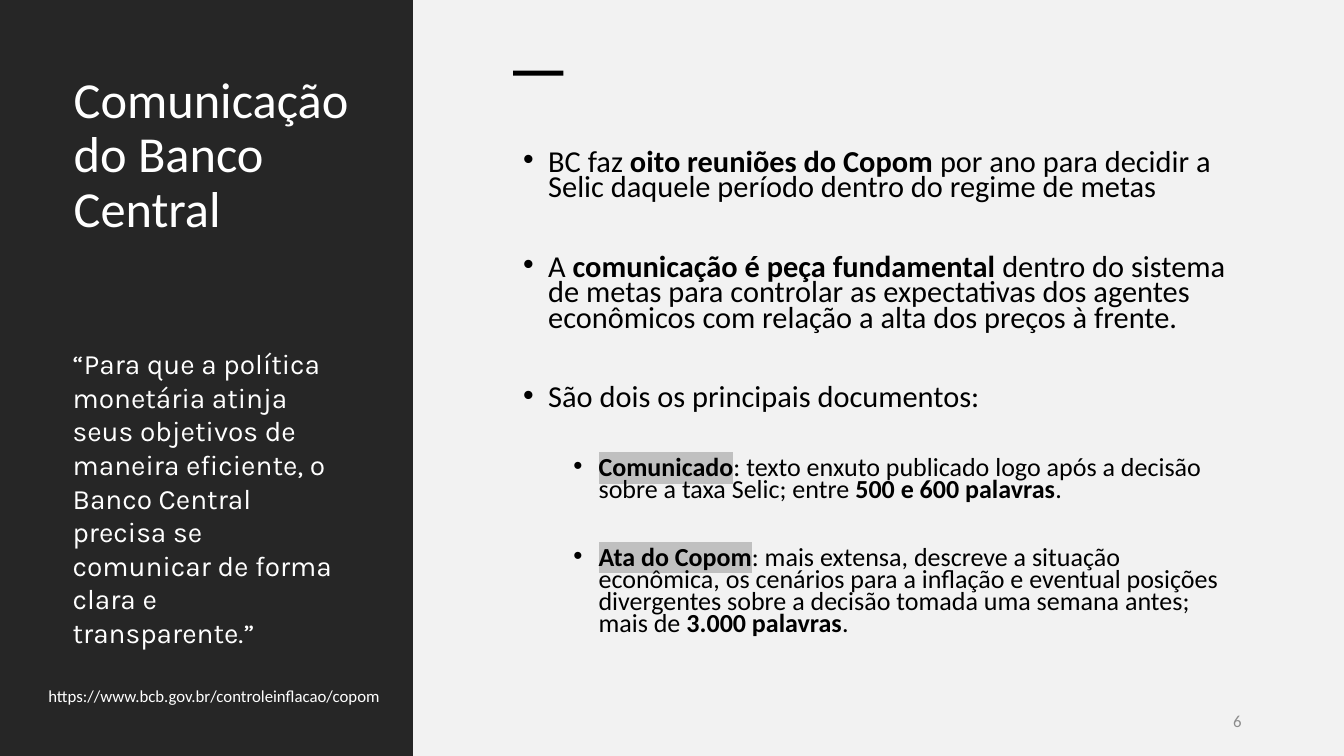
import pptx
import pptx.util
import pptx.dml.color
import pptx.enum.shapes
import pptx.enum.text
import pptx.oxml
import pptx.oxml.ns

Pt = pptx.util.Pt
RGB = pptx.dml.color.RGBColor
ALIGN = pptx.enum.text.PP_ALIGN
ANCHOR = pptx.enum.text.MSO_ANCHOR
RECT = pptx.enum.shapes.MSO_SHAPE.RECTANGLE
qn = pptx.oxml.ns.qn

WHITE = RGB(0xFF, 0xFF, 0xFF)
BLACK = RGB(0, 0, 0)
DARK = RGB(0x26, 0x26, 0x26)
LIGHT = RGB(0xF2, 0xF2, 0xF2)
GREY = RGB(0x8C, 0x8C, 0x8C)
MARK = RGB(0xC0, 0xC0, 0xC0)

# Bullets: (level, runs); each run is (text, style), b = bold, h = highlight
POINTS = [
    (0, [("BC faz ", ""), ("oito reuniões do Copom ", "b"),
         ("por ano para decidir a Selic daquele período dentro do "
          "regime de metas", "")]),
    (0, [("A", ""), (" comunicação é peça fundamental ", "b"),
         ("dentro do sistema de metas para controlar as expectativas dos "
          "agentes econômicos com relação a alta dos preços à frente.", "")]),
    (0, [("São dois os principais documentos:", "")]),
    (1, [("Comunicado", "bh"),
         (": texto enxuto publicado logo após a decisão sobre a taxa Selic; "
          "entre ", ""), ("500 e 600 palavras", "b"), (".", "")]),
    (1, [("Ata do Copom", "bh"),
         (": mais extensa, descreve a situação econômica, os cenários para a "
          "inflação e eventual posições divergentes sobre a decisão tomada "
          "uma semana antes; mais de ", ""),
         ("3.000 palavras", "b"), (".", "")]),
]
# Per level: text size, left margin, space before
LEVELS = [(21.7, 18, 38.5), (18.6, 54, 33)]
HANG = 18


def add_rect(slide, left, top, width, height, color):
    rect = slide.shapes.add_shape(RECT, Pt(left), Pt(top), Pt(width), Pt(height))
    rect.shadow.inherit = False
    rect.fill.solid()
    rect.fill.fore_color.rgb = color
    rect.line.fill.background()


def add_box(slide, left, top, width, height, anchor=ANCHOR.TOP):
    box = slide.shapes.add_textbox(Pt(left), Pt(top), Pt(width), Pt(height))
    frame = box.text_frame
    frame.word_wrap = True
    frame.vertical_anchor = anchor
    return frame


def add_run(para, text, size, color, face="Calibri", style=""):
    run = para.add_run()
    run.text = text
    font = run.font
    font.size = Pt(size)
    font.name = face
    font.bold = "b" in style
    font.color.rgb = color
    if "h" in style:
        light = pptx.oxml.parse_xml(
            f'<a:highlight {pptx.oxml.ns.nsdecls("a")}>'
            f'<a:srgbClr val="{MARK}"/></a:highlight>')
        run._r.rPr.find(qn("a:solidFill")).addnext(light)


def add_bullet(para, left):
    props = para._p.get_or_add_pPr()
    props.set("marL", str(Pt(left)))
    props.set("indent", str(Pt(-HANG)))
    for tag, key, value in (("buFont", "typeface", "Arial"),
                            ("buChar", "char", "•")):
        props.append(pptx.oxml.parse_xml(
            f'<a:{tag} {pptx.oxml.ns.nsdecls("a")} {key}="{value}"/>'))


def add_points(frame):
    for index, (level, runs) in enumerate(POINTS):
        para = frame.add_paragraph() if index else frame.paragraphs[0]
        size, left, gap = LEVELS[level]
        para.level = level
        para.line_spacing = 0.7
        para.space_before = Pt(gap if index else 10)
        add_bullet(para, left)
        for text, style in runs:
            add_run(para, text, size, BLACK, style=style)


def set_title(slide, text):
    title = slide.shapes.title
    title.left, title.top = Pt(45.4), Pt(49.7)
    title.width, title.height = Pt(236), Pt(439)
    # Bring the title in front of the panels
    title.element.getparent().append(title.element)
    frame = title.text_frame
    frame.word_wrap = True
    frame.auto_size = pptx.enum.text.MSO_AUTO_SIZE.NONE
    frame.vertical_anchor = ANCHOR.TOP
    para = frame.paragraphs[0]
    para.alignment = ALIGN.LEFT
    para.line_spacing = 0.9
    add_run(para, text, 36, WHITE)


def main():
    deck = pptx.Presentation()
    deck.slide_width, deck.slide_height = Pt(960), Pt(540)
    slide = deck.slides.add_slide(deck.slide_layouts[5])

    # Panels and title
    add_rect(slide, 294.5, 0, 665.5, 540, LIGHT)
    add_rect(slide, 0, 0, 295, 540, DARK)
    set_title(slide, "Comunicação do Banco Central")

    # Accent bar and bullets
    add_rect(slide, 366.5, 50.4, 36, 3.6, BLACK)
    add_points(add_box(slide, 366.5, 105, 528, 384.5))

    # Slide number
    page = add_box(slide, 678, 500.5, 216, 28.8, ANCHOR.MIDDLE).paragraphs[0]
    page.alignment = ALIGN.RIGHT
    add_run(page, "6", 12, GREY)

    # Web address and quote
    link = add_box(slide, 27.4, 486, 386.6, 21.8).paragraphs[0]
    add_run(link, "https://www.bcb.gov.br/controleinflacao/copom", 12, WHITE)
    quote = add_box(slide, 44.8, 244, 201, 225.4).paragraphs[0]
    add_run(quote, "“Para que a política monetária atinja seus objetivos de "
            "maneira eficiente, o Banco Central precisa se comunicar de forma "
            "clara e transparente.”", 20, WHITE, "Karla")

    deck.save("out.pptx")


if __name__ == "__main__":
    main()
